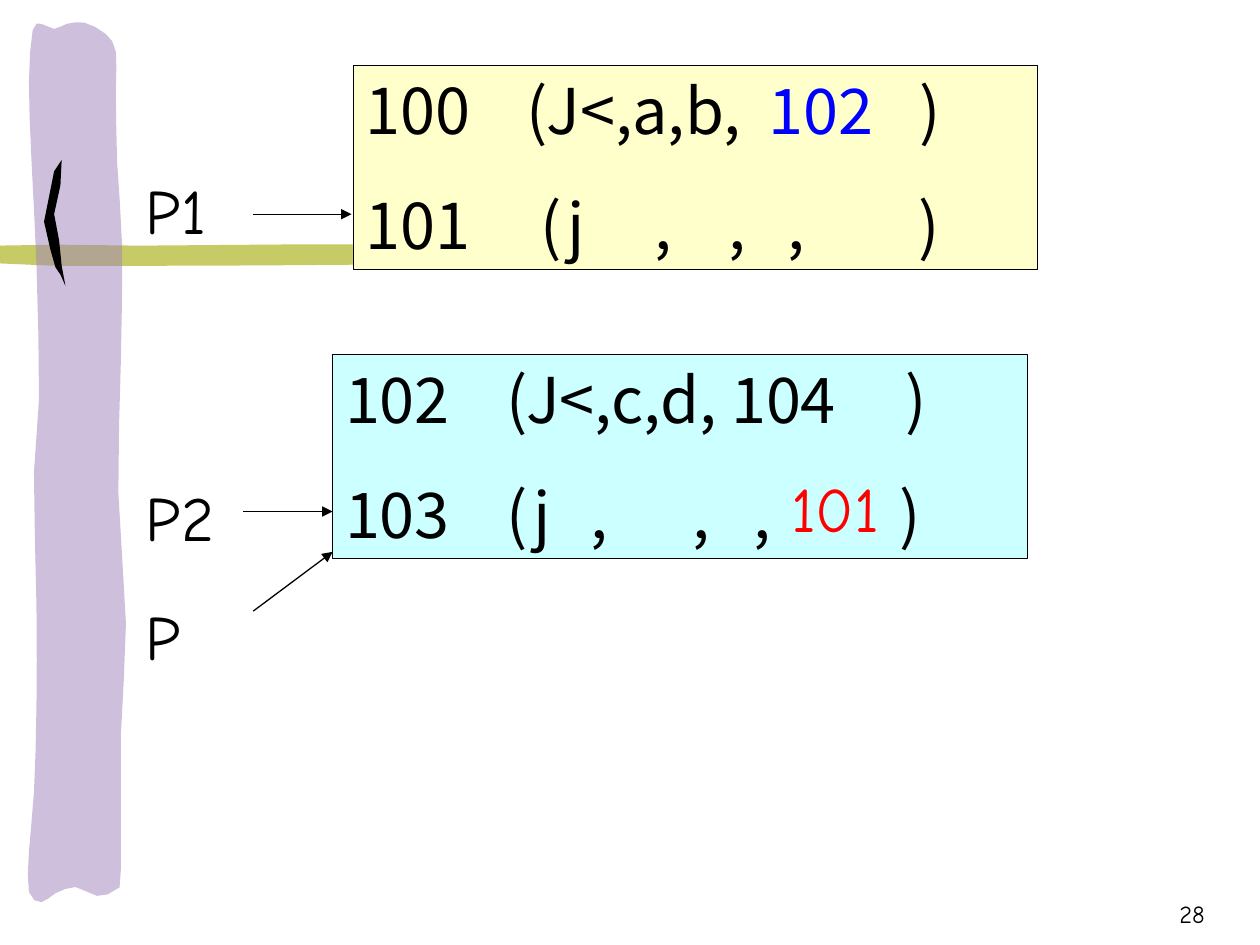
from lxml.etree import SubElement
from pptx import Presentation
from pptx.dml.color import RGBColor
from pptx.enum.shapes import MSO_CONNECTOR, MSO_SHAPE
from pptx.enum.text import MSO_ANCHOR, MSO_AUTO_SIZE, PP_ALIGN
from pptx.oxml.ns import qn
from pptx.util import Inches, Pt

BLACK = RGBColor(0x00, 0x00, 0x00)
BLUE = RGBColor(0x00, 0x00, 0xFF)
RED = RGBColor(0xFF, 0x00, 0x00)
CREAM = RGBColor(0xFF, 0xFF, 0xCC)
AQUA = RGBColor(0xCC, 0xFF, 0xFF)
OLIVE = RGBColor(0xC6, 0xCB, 0x65)
LILAC = RGBColor(0x9F, 0x83, 0xBD)

CODE_FONT = "Noto Sans CJK JP"
LABEL_FONT = "Comic Neue"

BAR = [(6.01, 1.95), (7.02, 1.96), (7.43, 1.98), (7.43, 2.02), (7.49, 2.06),
       (7.45, 2.08), (7.06, 2.1), (6.35, 2.1), (5.41, 2.09), (4.14, 2.09),
       (2.98, 2.1), (1.11, 2.11), (-0.02, 2.09), (-0.03, 1.95), (1.11, 1.95),
       (2.32, 1.94), (3.91, 1.94), (4.89, 1.94)]
BAND = [(0.29, 5.61), (0.29, 4.81), (0.27, 3.75), (0.31, 3.17), (0.29, 2.1),
        (0.25, 1.27), (0.23, 0.65), (0.26, 0.24), (0.33, 0.19), (0.43, 0.23),
        (0.53, 0.19), (0.67, 0.18), (0.84, 0.27), (0.92, 0.41), (0.92, 0.71),
        (0.93, 1.29), (0.97, 1.95), (0.96, 2.86), (0.94, 3.91), (1, 4.95),
        (0.96, 5.83), (0.96, 6.9), (0.92, 7.06), (0.77, 7.11), (0.6, 7.04),
        (0.44, 7.09), (0.33, 7.16), (0.23, 7.08), (0.23, 6.76), (0.27, 6.29)]
STROKE = [(0.49, 1.27), (0.48, 1.47), (0.43, 1.7), (0.47, 1.91), (0.49, 2.11),
          (0.52, 2.27), (0.48, 2.18), (0.44, 2.12), (0.4, 1.98), (0.35, 1.76),
          (0.39, 1.56), (0.43, 1.36)]


def smooth_outline(points):
    """Closed Catmull-Rom curve, with one extra point in each gap."""
    n = len(points)
    curve = []
    for i in range(n):
        a, b, c, d = (points[(i + k) % n] for k in (-1, 0, 1, 2))
        middle = tuple((9 * (b[k] + c[k]) - a[k] - d[k]) / 16 for k in (0, 1))
        curve += [b, middle]
    return curve


def write(p, text, font=CODE_FONT, size=36, color=BLACK):
    r = p.add_run()
    r.text = text
    r.font.name = font
    r.font.size = Pt(size)
    r.font.color.rgb = color


def set_list_format(p, tabs, number=None):
    """Set left tab stops and, if number is given, automatic numbering."""
    pPr = p._p.get_or_add_pPr()
    if number is not None:
        pPr.set("marL", "0")
        pPr.set("indent", "0")
        SubElement(SubElement(pPr, qn("a:buClr")), qn("a:srgbClr"), val=str(BLACK))
        SubElement(pPr, qn("a:buFont"), typeface=CODE_FONT)
        SubElement(pPr, qn("a:buAutoNum"), type="arabicPlain", startAt=str(number))
    tab_list = SubElement(pPr, qn("a:tabLst"))
    for pos in tabs:
        SubElement(tab_list, qn("a:tab"), pos=str(Inches(pos)), algn="l")


class SlideBuilder:
    def __init__(self, s):
        self.s = s

    def freeform(self, points, color, alpha=None):
        start, *rest = [(Inches(x), Inches(y)) for x, y in points]
        builder = self.s.shapes.build_freeform(*start)
        builder.add_line_segments(rest, close=True)
        sp = builder.convert_to_shape()
        sp.shadow.inherit = False
        sp.line.fill.background()
        sp.fill.solid()
        sp.fill.fore_color.rgb = color
        if alpha is not None:
            clr = sp.fill._xPr.find(".//" + qn("a:srgbClr"))
            SubElement(clr, qn("a:alpha"), val=str(alpha * 1000))

    def code_box(self, x, y, w, h, color, rows):
        """Each row is (runs, tab stops, number); a run is (text, color)."""
        sp = self.s.shapes.add_shape(
            MSO_SHAPE.RECTANGLE, Inches(x), Inches(y), Inches(w), Inches(h))
        sp.shadow.inherit = False
        sp.fill.solid()
        sp.fill.fore_color.rgb = color
        sp.line.color.rgb = BLACK
        sp.line.width = Pt(0.25)
        tf = sp.text_frame
        tf.word_wrap = True
        tf.auto_size = MSO_AUTO_SIZE.SHAPE_TO_FIT_TEXT
        tf.vertical_anchor = MSO_ANCHOR.TOP
        for i, (runs, tabs, number) in enumerate(rows):
            p = tf.add_paragraph() if i else tf.paragraphs[0]
            p.alignment = PP_ALIGN.LEFT
            if i:
                p.space_before = Pt(22.5)
            set_list_format(p, tabs, number)
            for text, run_color in runs:
                write(p, text, color=run_color)

    def label(self, text, x, y, w, h=0.7, align=PP_ALIGN.LEFT,
              anchor=MSO_ANCHOR.TOP, **style):
        tf = self.s.shapes.add_textbox(
            Inches(x), Inches(y), Inches(w), Inches(h)).text_frame
        tf.word_wrap = True
        tf.vertical_anchor = anchor
        p = tf.paragraphs[0]
        p.alignment = align
        write(p, text, font=LABEL_FONT, **style)

    def arrow(self, x1, y1, x2, y2):
        c = self.s.shapes.add_connector(
            MSO_CONNECTOR.STRAIGHT, Inches(x1), Inches(y1), Inches(x2), Inches(y2))
        c.line.color.rgb = BLACK
        c.line.width = Pt(0.75)
        SubElement(c.line._get_or_add_ln(), qn("a:tailEnd"), type="triangle")
        SubElement(c._element.spPr, qn("a:effectLst"))


def main():
    prs = Presentation()
    prs.slide_width, prs.slide_height = Inches(10), Inches(7.5)
    slide = SlideBuilder(prs.slides.add_slide(prs.slide_layouts[6]))

    slide.freeform(smooth_outline(BAR), OLIVE)
    slide.freeform(smooth_outline(BAND), LILAC, alpha=50)
    slide.freeform(STROKE, BLACK)

    slide.code_box(2.8, 0.52, 5.43, 1.62, CREAM, [
        ([("\t(J<,a,b,", BLACK), ("\t102", BLUE), ("\t)", BLACK)],
         [1.28, 3.2, 4.58], 100),
        ([("\t(j\t,\t,\t,\t)", BLACK)], [1.39, 2.3, 2.88, 3.35, 4.39], 101),
    ])
    slide.code_box(2.64, 2.81, 5.51, 1.62, AQUA, [
        ([("102\t(J<,c,d, 104\t)", BLACK)], [1.28, 4.45], None),
        ([("103\t(j\t,\t,\t,\t)", BLACK)], [1.28, 1.95, 2.76, 3.24, 4.4], None),
    ])

    slide.arrow(2.01, 1.7, 2.79, 1.7)
    slide.label("P1", 1.06, 1.31, 0.9)
    slide.arrow(1.93, 4.06, 2.64, 4.06)
    slide.label("P2", 1.06, 3.75, 0.9)
    slide.arrow(2.01, 4.85, 2.64, 4.38)
    slide.label("P", 1.06, 4.69, 0.94)
    slide.label("101", 6.18, 3.68, 1.73, color=RED)
    slide.label("28", 7.58, 6.92, 2.08, 0.5, align=PP_ALIGN.RIGHT,
                anchor=MSO_ANCHOR.BOTTOM, size=14)

    prs.save("out.pptx")


if __name__ == "__main__":
    main()
